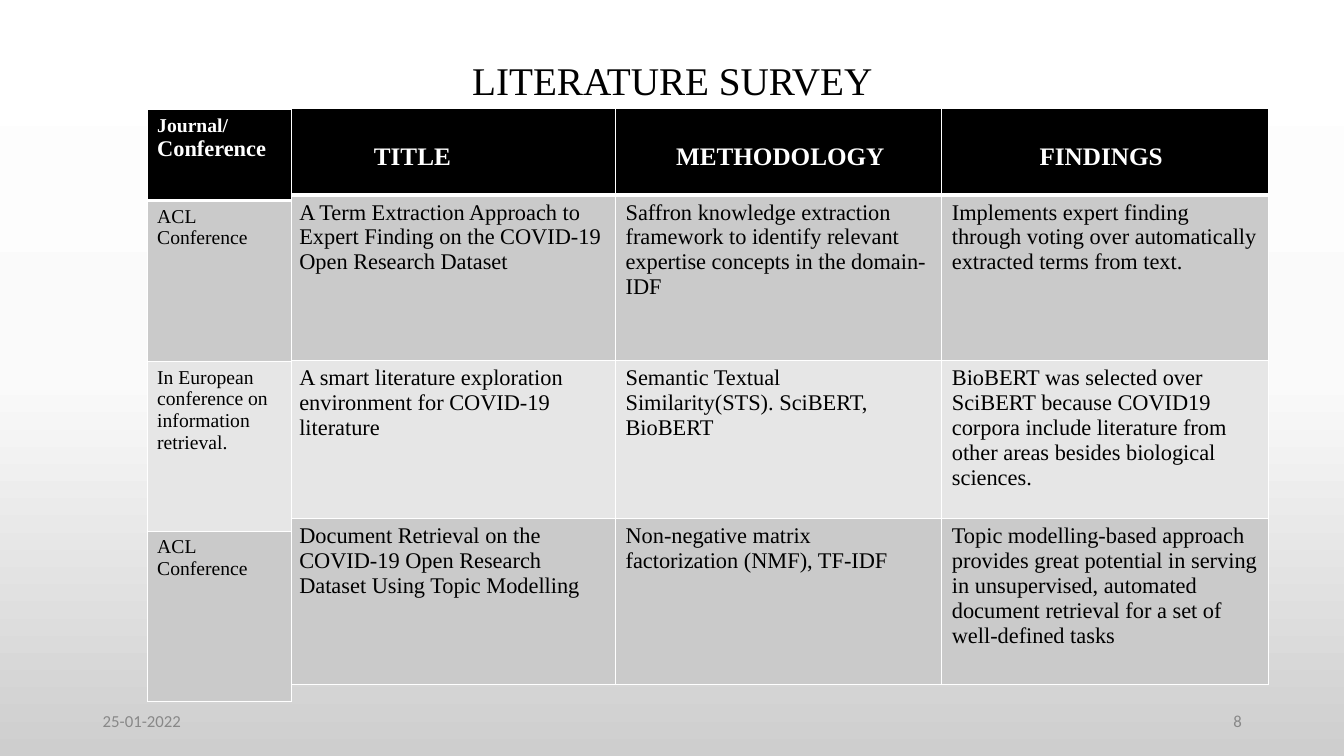
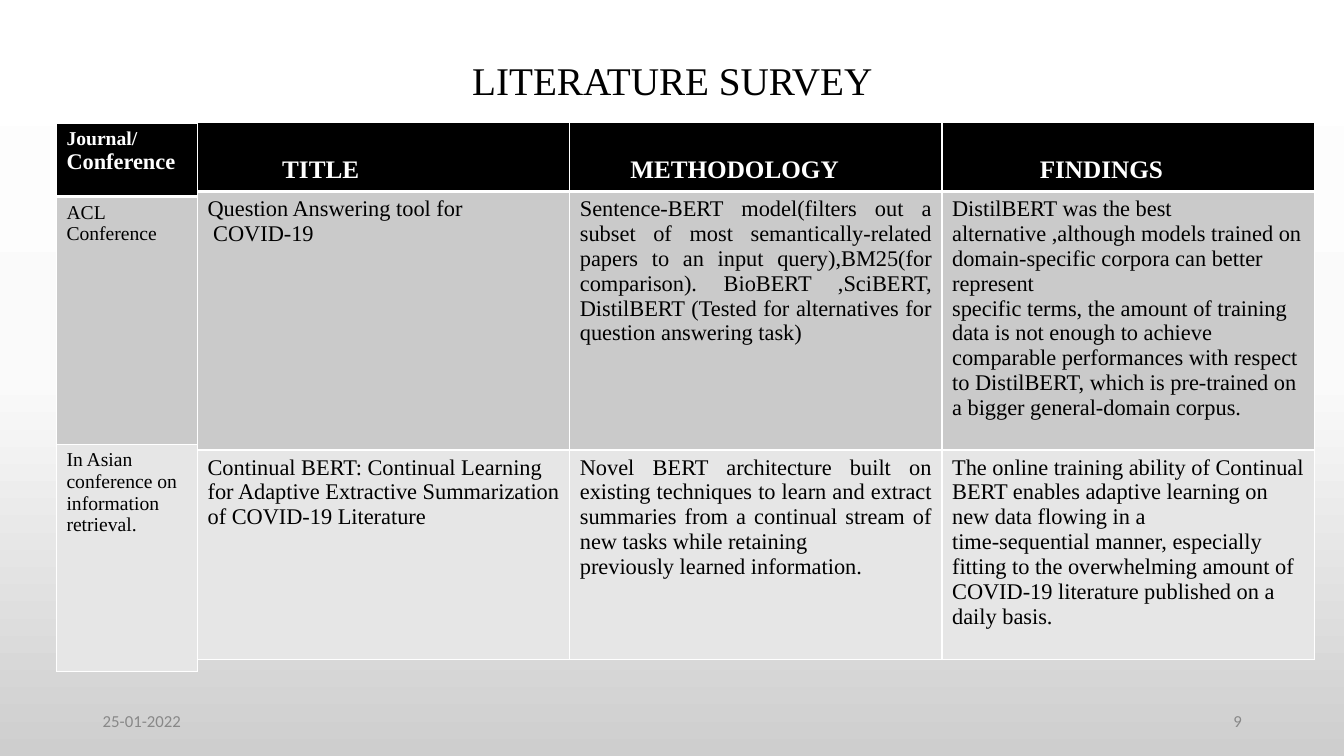
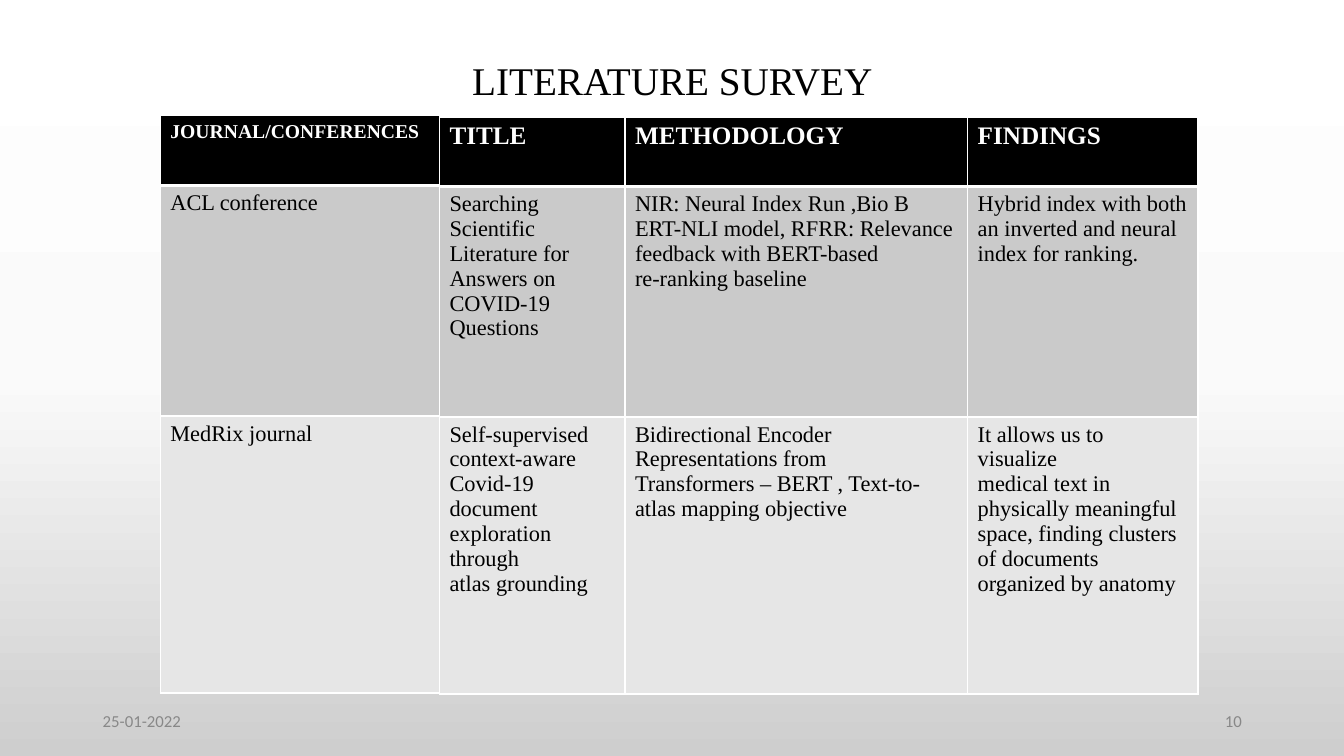
from copy import deepcopy

from lxml.etree import SubElement
from pptx import Presentation
from pptx.dml.color import RGBColor
from pptx.enum.text import MSO_ANCHOR, PP_ALIGN
from pptx.oxml.ns import qn
from pptx.util import Inches, Pt

WHITE, BLACK = "FFFFFF", "000000"
BANDS = ("CACACA", "E6E6E6")
FOOTER_GREY = "888888"
BACKGROUND = ((0, WHITE), (0.5, "FAFAFA"), (1, "CECECE"))
SERIF, SANS = "Times New Roman", "Calibri"
HEADINGS = ("TITLE", "METHODOLOGY", "FINDINGS")


def color(code):
    """Turn a hex string into a colour."""
    return RGBColor.from_string(code)


class Deck:
    """Holds the shared style and the current slide; lengths are percentages of the slide."""

    def __init__(self):
        """Start a widescreen presentation with a grey gradient behind every slide."""
        self.presentation = Presentation()
        self.presentation.slide_width = Inches(13.333)
        self.presentation.slide_height = Inches(7.5)
        self.slide = None
        master = self.presentation.slide_master
        fill = master.background.fill
        fill.gradient()
        fill.gradient_angle = 270
        stop_list = master.element.find(".//" + qn("a:gsLst"))
        stop_list.append(deepcopy(stop_list[-1]))
        for stop, (position, code) in zip(fill.gradient_stops, BACKGROUND):
            stop.position = position
            stop.color.rgb = color(code)

    def across(self, share):
        """Convert a percentage of the slide width."""
        return round(self.presentation.slide_width * share / 100)

    def down(self, share):
        """Convert a percentage of the slide height."""
        return round(self.presentation.slide_height * share / 100)

    def set_text(self, frame, text, sizes, code, font=SERIF, bold=False, align=PP_ALIGN.LEFT):
        """Fill a text frame; the last size serves all further paragraphs."""
        frame.text = text
        frame.word_wrap = True
        for index, paragraph in enumerate(frame.paragraphs):
            paragraph.alignment = align
            for run in paragraph.runs:
                run.font.name = font
                run.font.size = Pt(sizes[min(index, len(sizes) - 1)])
                run.font.bold = bold
                run.font.color.rgb = color(code)

    def text(self, left, top, width, height, text, size, code, font, align, anchor):
        """Add a text box and return its frame."""
        box = self.slide.shapes.add_textbox(
            self.across(left), self.down(top), self.across(width), self.down(height))
        self.set_text(box.text_frame, text, (size,), code, font, align=align)
        box.text_frame.vertical_anchor = anchor
        return box.text_frame

    def new_slide(self, number):
        """Add a slide with its title, date and number."""
        self.slide = self.presentation.slides.add_slide(self.presentation.slide_layouts[6])
        title = self.text(27.68, 6.4, 44.7, 8, "LITERATURE SURVEY", 28, BLACK, SERIF,
                          PP_ALIGN.CENTER, MSO_ANCHOR.BOTTOM)
        title.paragraphs[0].line_spacing = 0.9
        for left, text, align in ((6.9, "25-01-2022", PP_ALIGN.LEFT),
                                  (70.65, str(number), PP_ALIGN.RIGHT)):
            self.text(left, 92.67, 22.5, 5.33, text, 12, FOOTER_GREY, SANS, align,
                      MSO_ANCHOR.MIDDLE)

    def borders(self, cell, top, bottom):
        """Draw white lines round a cell, with the given top and bottom widths."""
        properties = cell._tc.get_or_add_tcPr()
        widths = (("L", 1), ("R", 1), ("T", top), ("B", bottom))
        for index, (side, width) in enumerate(widths):
            line = SubElement(properties, qn("a:ln" + side), w=str(Pt(width)))
            SubElement(SubElement(line, qn("a:solidFill")), qn("a:srgbClr"), val=WHITE)
            properties.insert(index, line)

    def table(self, left, top, columns, heights, rows, head_sizes=(18,), body_size=16,
              indents=(), justified=()):
        """Add a table with a black heading row; indents push the headings in and down."""
        table = self.slide.shapes.add_table(
            len(heights), len(columns), self.across(left), self.down(top),
            self.across(sum(columns)), self.down(sum(heights))).table
        table.first_row = table.horz_banding = False
        for column, width in zip(table.columns, columns):
            column.width = self.across(width)
        for index, (row, height, texts) in enumerate(zip(table.rows, heights, rows)):
            row.height = self.down(height)
            heading = index == 0
            for position, (cell, text) in enumerate(zip(row.cells, texts)):
                align = (PP_ALIGN.JUSTIFY if position in justified and not heading
                         else PP_ALIGN.LEFT)
                self.set_text(cell.text_frame, text, head_sizes if heading else (body_size,),
                              WHITE if heading else BLACK, bold=heading, align=align)
                cell.fill.solid()
                cell.fill.fore_color.rgb = color(BLACK if heading else BANDS[(index - 1) % 2])
                self.borders(cell, 3 if index == 1 else 1, 3 if heading else 1)
                if heading and indents:
                    cell.margin_left = Inches(0.1 + indents[position])
                    cell.margin_top = Inches(0.34)


def main():
    """Build the three survey slides."""
    deck = Deck()
    indents = (0.74, 0.5, 0.87)
    journal = ("Journal/\nConference",)

    deck.new_slide(8)
    deck.table(21.52, 14.4, [24.28] * 3, (11.4, 21.9, 20.95, 21.95), (
        HEADINGS,
        ("A Term Extraction Approach to Expert Finding on the COVID-19 Open Research Dataset",
         "Saffron knowledge extraction framework to identify relevant expertise concepts "
         "in the domain-IDF",
         "Implements expert finding through voting over automatically extracted terms from text."),
        ("A smart literature exploration environment for COVID-19 literature",
         "Semantic Textual Similarity(STS). SciBERT, BioBERT",
         "BioBERT was selected over SciBERT because COVID19 corpora include literature from "
         "other areas besides biological sciences."),
        ("Document Retrieval on the COVID-19 Open Research Dataset Using Topic Modelling",
         "Non-negative matrix\nfactorization (NMF), TF-IDF",
         "Topic modelling-based approach provides great potential in serving in unsupervised, "
         "automated document retrieval for a set of well-defined tasks"),
    ), indents=indents)
    deck.table(10.95, 14.53, [10.72], (12, 21.33, 22.4, 22.53), (
        journal,
        ("ACL Conference",),
        ("In European conference on information retrieval.",),
        ("ACL Conference",),
    ), head_sizes=(14, 16), body_size=14)

    deck.new_slide(9)
    deck.table(14.7, 16.13, [27.7] * 3, (8.67, 34.2, 27.75), (
        HEADINGS,
        ("Question Answering tool for\n COVID-19",
         "Sentence-BERT model(filters out a subset of most semantically-related papers to an "
         "input query),BM25(for comparison). BioBERT ,SciBERT, DistilBERT (Tested for "
         "alternatives for question answering task)",
         "DistilBERT was the best alternative ,although models trained on domain-specific "
         "corpora can better represent\nspecific terms, the amount of training data is not "
         "enough to achieve comparable performances with respect to DistilBERT, which is "
         "pre-trained on a bigger general-domain corpus."),
        ("Continual BERT: Continual Learning for Adaptive Extractive Summarization of "
         "COVID-19 Literature",
         "Novel BERT architecture built on existing techniques to learn and extract summaries "
         "from a continual stream of new tasks while retaining\npreviously learned information.",
         "The online training ability of Continual BERT enables adaptive learning on new data "
         "flowing in a\ntime-sequential manner, especially fitting to the overwhelming amount "
         "of COVID-19 literature published on a daily basis."),
    ), indents=indents, justified=(1,))
    deck.table(4.2, 16.27, [10.5], (9.73, 32.8, 30), (
        journal,
        ("ACL Conference",),
        ("In Asian conference on information retrieval.",),
    ), head_sizes=(14, 16), body_size=14)

    deck.new_slide(10)
    heights = (9.2, 30.5, 36.65)
    deck.table(32.7, 15.47, (13.8, 25.5, 17.15), heights, (
        HEADINGS,
        ("Searching Scientific Literature for Answers on COVID-19 Questions",
         "NIR: Neural Index Run ,Bio B ERT-NLI model, RFRR: Relevance feedback with "
         "BERT-based\nre-ranking baseline",
         "Hybrid index with both an inverted and neural index for ranking."),
        ("Self-supervised context-aware Covid-19 document exploration through\natlas grounding",
         "Bidirectional Encoder Representations from\nTransformers – BERT , Text-to-atlas "
         "mapping objective",
         "It allows us to visualize\nmedical text in physically meaningful space, finding "
         "clusters of documents organized by anatomy"),
    ))
    deck.table(11.93, 15.33, [20.77], heights, (
        ("JOURNAL/CONFERENCES",),
        ("ACL conference",),
        ("MedRix journal",),
    ), head_sizes=(14,))

    deck.presentation.save("out.pptx")


if __name__ == "__main__":
    main()
